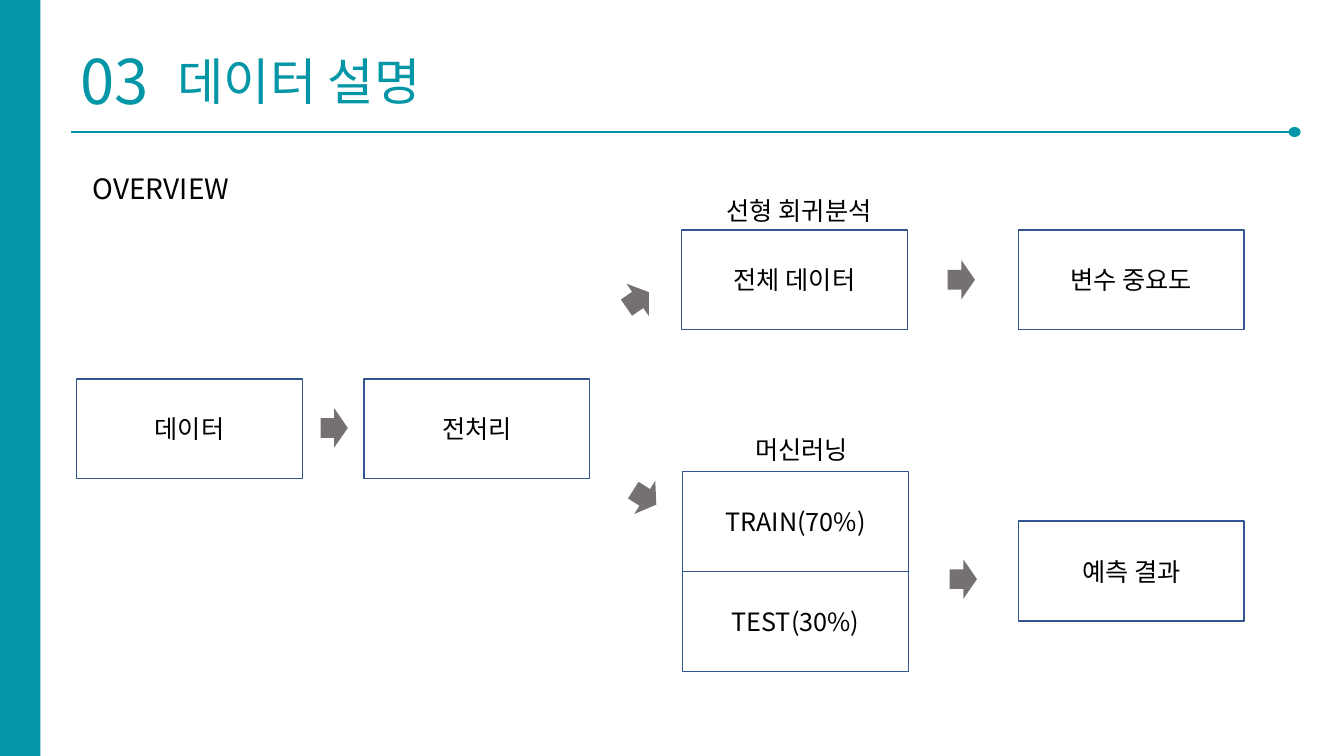
"""Build the data overview slide with its analysis flow."""
from lxml import etree
from pptx import Presentation
from pptx.dml.color import RGBColor
from pptx.enum.shapes import MSO_CONNECTOR, MSO_SHAPE
from pptx.enum.text import MSO_ANCHOR, MSO_AUTO_SIZE, PP_ALIGN
from pptx.oxml.ns import qn
from pptx.util import Inches, Pt

RECTANGLE, OVAL, DOWN_ARROW = MSO_SHAPE.RECTANGLE, MSO_SHAPE.OVAL, MSO_SHAPE.DOWN_ARROW
STRAIGHT = MSO_CONNECTOR.STRAIGHT
TOP, MIDDLE = MSO_ANCHOR.TOP, MSO_ANCHOR.MIDDLE
LEFT, CENTER = PP_ALIGN.LEFT, PP_ALIGN.CENTER
NO_AUTOFIT = MSO_AUTO_SIZE.NONE

FONT = "Noto Sans CJK KR"
COLORS = {"teal": "0396A6", "border": "325491", "arrow": "767171", "text": "000000"}
TITLE_ONLY_LAYOUT = 5
BOX_WIDTH, BOX_HEIGHT = 2.24, 0.99
ARROW_WIDTH, ARROW_HEIGHT = 0.39, 0.27
MODEL_LEFT, TRAIN_TOP = 6.77, 4.68

BOXES = [
    ("데이터", 0.76, 3.76),
    ("전처리", 3.61, 3.76),
    ("변수 중요도", 10.1, 2.28),
    ("예측 결과", 10.1, 5.17),
    ("전체 데이터", 6.76, 2.28),
    ("TRAIN(70%)", MODEL_LEFT, TRAIN_TOP),
    ("TEST(30%)", MODEL_LEFT, TRAIN_TOP + BOX_HEIGHT),
]
LABELS = [
    ("OVERVIEW", 0.82, 1.65, 6.75, 0.44, 20),
    ("선형 회귀분석", 7.11, 1.89, 2.24, 0.4, 18),
    ("머신러닝", 7.39, 4.26, 2.24, 0.4, 18),
]
ARROWS = [
    (3.12, 4.11, 270),
    (9.34, 2.64, 270),
    (9.36, 5.61, 270),
    (6.13, 2.84, 235.4),
    (6.2, 4.8, 302.3),
]


def color(name):
    """Return the named colour."""
    return RGBColor.from_string(COLORS[name])


def write_text(shape, text, size, color_name="text", align=LEFT, anchor=TOP, wrap=True):
    """Put one formatted line of text into a shape."""
    text_frame = shape.text_frame
    text_frame.text = text
    text_frame.auto_size = NO_AUTOFIT
    text_frame.word_wrap = wrap
    text_frame.vertical_anchor = anchor
    paragraph = text_frame.paragraphs[0]
    paragraph.alignment = align
    font = paragraph.runs[0].font
    font.size = Pt(size)
    font.name = FONT
    font.color.rgb = color(color_name)
    properties = paragraph.runs[0]._r.get_or_add_rPr()
    etree.SubElement(properties, qn("a:ea"), typeface=FONT)


def add_label(slide, text, left, top, width, height, size, color_name="text", wrap=True):
    """Add a text box."""
    label = slide.shapes.add_textbox(Inches(left), Inches(top), Inches(width), Inches(height))
    write_text(label, text, size, color_name, wrap=wrap)


def add_filled(slide, kind, left, top, width, height, color_name):
    """Add a filled shape without an outline."""
    shape = slide.shapes.add_shape(kind, Inches(left), Inches(top), Inches(width), Inches(height))
    shape.shadow.inherit = False
    shape.fill.solid()
    shape.fill.fore_color.rgb = color(color_name)
    shape.line.fill.background()
    return shape


def add_box(slide, text, left, top):
    """Add an outlined step of the flow."""
    box = slide.shapes.add_shape(
        RECTANGLE, Inches(left), Inches(top), Inches(BOX_WIDTH), Inches(BOX_HEIGHT))
    box.shadow.inherit = False
    box.fill.background()
    box.line.color.rgb = color("border")
    box.line.width = Pt(1)
    write_text(box, text, 18, align=CENTER, anchor=MIDDLE)


def add_arrow(slide, left, top, rotation):
    """Add a block arrow turned to its direction."""
    arrow = add_filled(slide, DOWN_ARROW, left, top, ARROW_WIDTH, ARROW_HEIGHT, "arrow")
    arrow.rotation = rotation


def add_header(slide):
    """Add the side band, section number, title and rule."""
    add_filled(slide, RECTANGLE, 0, 0, 0.4, 7.5, "teal")
    add_label(slide, "03", 0.7, 0.38, 0.88, 0.84, 44, "teal", wrap=False)
    title = slide.shapes.title
    title.left, title.top = Inches(1.66), Inches(0.45)
    title.width, title.height = Inches(2.9), Inches(0.71)
    write_text(title, "데이터 설명", 36, "teal", wrap=False)
    rule = slide.shapes.add_connector(
        STRAIGHT, Inches(0.7), Inches(1.31), Inches(12.78), Inches(1.31))
    rule.line.color.rgb = color("teal")
    rule.line.width = Pt(1.5)
    etree.SubElement(rule._element.spPr, qn("a:effectLst"))
    add_filled(slide, OVAL, 12.78, 1.26, 0.12, 0.1, "teal")


def main():
    """Build and save the presentation."""
    presentation = Presentation()
    presentation.slide_width = Inches(13.33)
    presentation.slide_height = Inches(7.5)
    slide = presentation.slides.add_slide(presentation.slide_layouts[TITLE_ONLY_LAYOUT])
    add_header(slide)
    for box in BOXES:
        add_box(slide, *box)
    for label in LABELS:
        add_label(slide, *label)
    for arrow in ARROWS:
        add_arrow(slide, *arrow)
    presentation.save("out.pptx")


if __name__ == "__main__":
    main()
